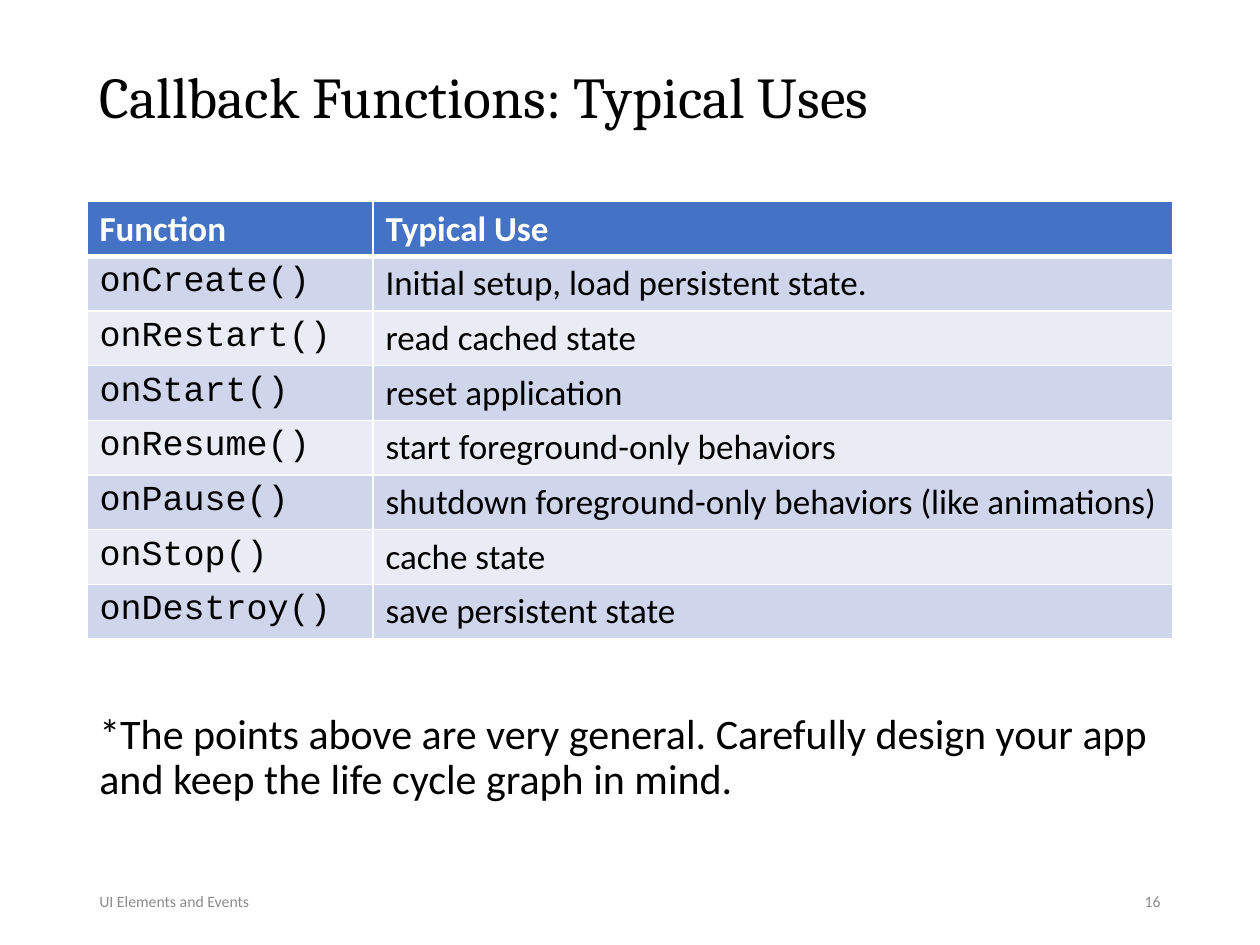
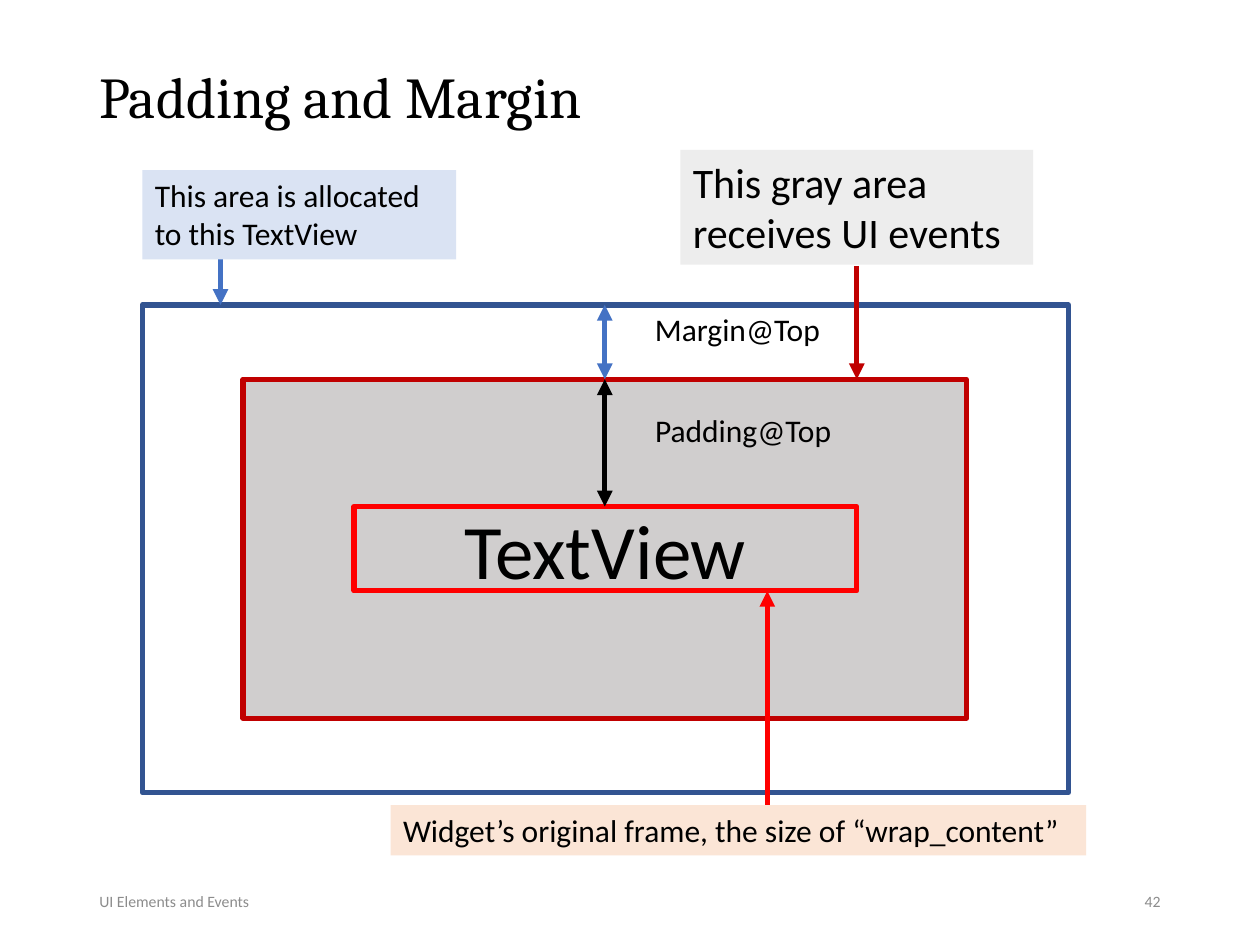
from lxml.etree import SubElement
from pptx import Presentation
from pptx.dml.color import RGBColor
from pptx.enum.shapes import MSO_CONNECTOR, MSO_SHAPE
from pptx.enum.text import MSO_ANCHOR, PP_ALIGN
from pptx.oxml.ns import qn
from pptx.util import Inches, Pt

# Shared style
HEAD, BODY, CODE = "Cambria", "Calibri", "Courier New"
BLACK, WHITE, GRAY = "000000", "FFFFFF", "8C8C8C"
BLUE, NAVY = "4472C4", "325491"
RED, DARK_RED = "FF0000", "C00000"
BANDS = ["E9EBF5", "CFD5EA"]
LEFT, WIDE = 0.69, 8.62

USES = [
    ("onCreate()", "Initial setup, load persistent state."),
    ("onRestart()", "read cached state"),
    ("onStart()", "reset application"),
    ("onResume()", "start foreground-only behaviors"),
    ("onPause()", "shutdown foreground-only behaviors (like animations)"),
    ("onStop()", "cache state"),
    ("onDestroy()", "save persistent state"),
]


def color(code):
    return RGBColor.from_string(code)


def paint(fill, code):
    if code:
        fill.solid()
        fill.fore_color.rgb = color(code)
    else:
        fill.background()


def write(frame, text, size, font=BODY, ink=BLACK, bold=False,
          align=PP_ALIGN.LEFT, space=None):
    para = frame.paragraphs[0]
    para.alignment = align
    if space:
        para.line_spacing = space
    run = para.add_run()
    run.text = text
    run.font.size = Pt(size)
    run.font.name = font
    run.font.bold = bold
    run.font.color.rgb = color(ink)


def label(slide, box, text, size, anchor=MSO_ANCHOR.TOP, wrap=True, **style):
    frame = slide.shapes.add_textbox(*map(Inches, box)).text_frame
    frame.word_wrap = wrap
    frame.vertical_anchor = anchor
    write(frame, text, size, **style)


def rect(slide, box, fill=None, line=None):
    shape = slide.shapes.add_shape(MSO_SHAPE.RECTANGLE, *map(Inches, box))
    shape.shadow.inherit = False
    paint(shape.fill, fill)
    paint(shape.line.fill, line)
    if line:
        shape.line.width = Pt(3)
    shape.text_frame.word_wrap = True
    return shape


def note(slide, box, fill, text, size=18):
    frame = rect(slide, box, fill).text_frame
    frame.vertical_anchor = MSO_ANCHOR.TOP
    write(frame, text, size)


def arrow(slide, x, start, end, ink, both=False):
    link = slide.shapes.add_connector(
        MSO_CONNECTOR.STRAIGHT, *map(Inches, (x, start, x, end)))
    link.line.width = Pt(3)
    link.line.color.rgb = color(ink)
    line = link.line._get_or_add_ln()
    for tag in ["a:headEnd", "a:tailEnd"] if both else ["a:tailEnd"]:
        SubElement(line, qn(tag), type="triangle")
    SubElement(link._element.spPr, qn("a:effectLst"))


def border(cell, **sides):
    props = cell._tc.get_or_add_tcPr()
    for spot, (side, width) in enumerate(sides.items()):
        line = props.makeelement(qn("a:ln" + side), {"w": str(Pt(width))})
        fill = SubElement(line, qn("a:solidFill"))
        SubElement(fill, qn("a:srgbClr"), val=WHITE)
        props.insert(spot, line)


def grid(slide, box, widths, height, rows):
    frame = slide.shapes.add_table(
        len(rows), len(widths), *map(Inches, box))
    table = frame.table
    table.horz_banding = False
    for col, width in zip(table.columns, widths):
        col.width = Inches(width)
    for r, texts in enumerate(rows):
        table.rows[r].height = Inches(height)
        top = r == 0
        for c, text in enumerate(texts):
            cell = table.cell(r, c)
            paint(cell.fill, BLUE if top else BANDS[r % 2])
            border(cell, L=1, R=1, T=3 if r == 1 else 1, B=3 if top else 1)
            write(cell.text_frame, text, 20, bold=top,
                  font=BODY if top or c else CODE,
                  ink=WHITE if top else BLACK)
    frame.height = Inches(box[3])


def page(deck, title, number):
    slide = deck.slides.add_slide(deck.slide_layouts[6])
    mid = MSO_ANCHOR.MIDDLE
    label(slide, (LEFT, 0.4, WIDE, 0.79), title, 33, mid,
          font=HEAD, space=0.9)
    label(slide, (LEFT, 6.95, 2.25, 0.4), "UI Elements and Events", 9, mid,
          ink=GRAY)
    label(slide, (7.06, 6.95, 2.25, 0.4), number, 9, mid,
          ink=GRAY, align=PP_ALIGN.RIGHT)
    return slide


def uses(deck):
    slide = page(deck, "Callback Functions: Typical Uses", "16")
    grid(slide, (LEFT, 1.6, WIDE, 3.47), (2.27, 6.35), 0.41,
         [("Function", "Typical Use")] + USES)
    label(slide, (LEFT, 5.61, WIDE, 1.15),
          "*The points above are very general. Carefully design your app "
          "and keep the life cycle graph in mind.", 24, space=0.9)


def layers(deck):
    slide = page(deck, "Padding and Margin", "42")
    outer, inner, text, base = 2.42, 3.01, 4.02, 4.69
    mid = 4.8

    # Nested frames
    rect(slide, (1.13, outer, 7.35, 3.87), line=NAVY)
    rect(slide, (1.93, inner, 5.74, 2.69), "D0CECE", DARK_RED)
    view = rect(slide, (2.81, text, 3.99, base - text), line=RED)
    view.text_frame.vertical_anchor = MSO_ANCHOR.MIDDLE
    write(view.text_frame, "TextView", 44, align=PP_ALIGN.CENTER)

    # Gaps between frames
    arrow(slide, mid, inner, text, BLACK, both=True)
    label(slide, (5.1, 3.21, 1.62, 0.4), "Padding@Top", 18, wrap=False)
    arrow(slide, mid, outer, inner, BLUE, both=True)
    label(slide, (5.1, 2.41, 1.53, 0.4), "Margin@Top", 18, wrap=False)

    # Notes with pointers
    arrow(slide, 6.8, 2.11, inner, DARK_RED)
    note(slide, (5.4, 1.19, 2.8, 0.91), "EDEDED",
         "This gray area receives UI events", 24)
    arrow(slide, 1.75, 2.05, outer, BLUE)
    note(slide, (1.13, 1.35, 2.49, 0.71), "DAE3F3",
         "This area is allocated to this TextView")
    arrow(slide, 6.09, 6.47, base, RED)
    note(slide, (3.1, 6.39, 5.52, 0.4), "FBE5D6",
         "Widget’s original frame, the size of “wrap_content”")


def main():
    deck = Presentation()
    deck.slide_width, deck.slide_height = Inches(10), Inches(7.5)
    uses(deck)
    layers(deck)
    deck.save("out.pptx")


if __name__ == "__main__":
    main()
